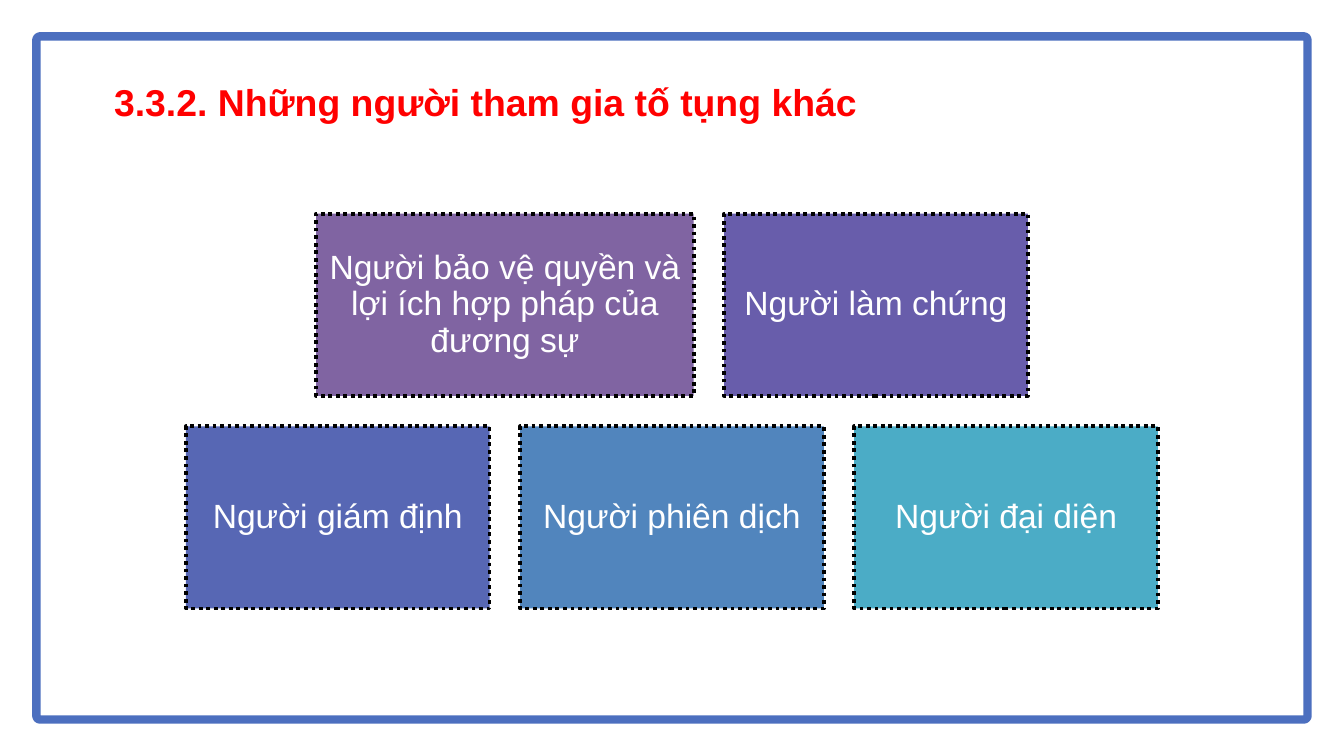
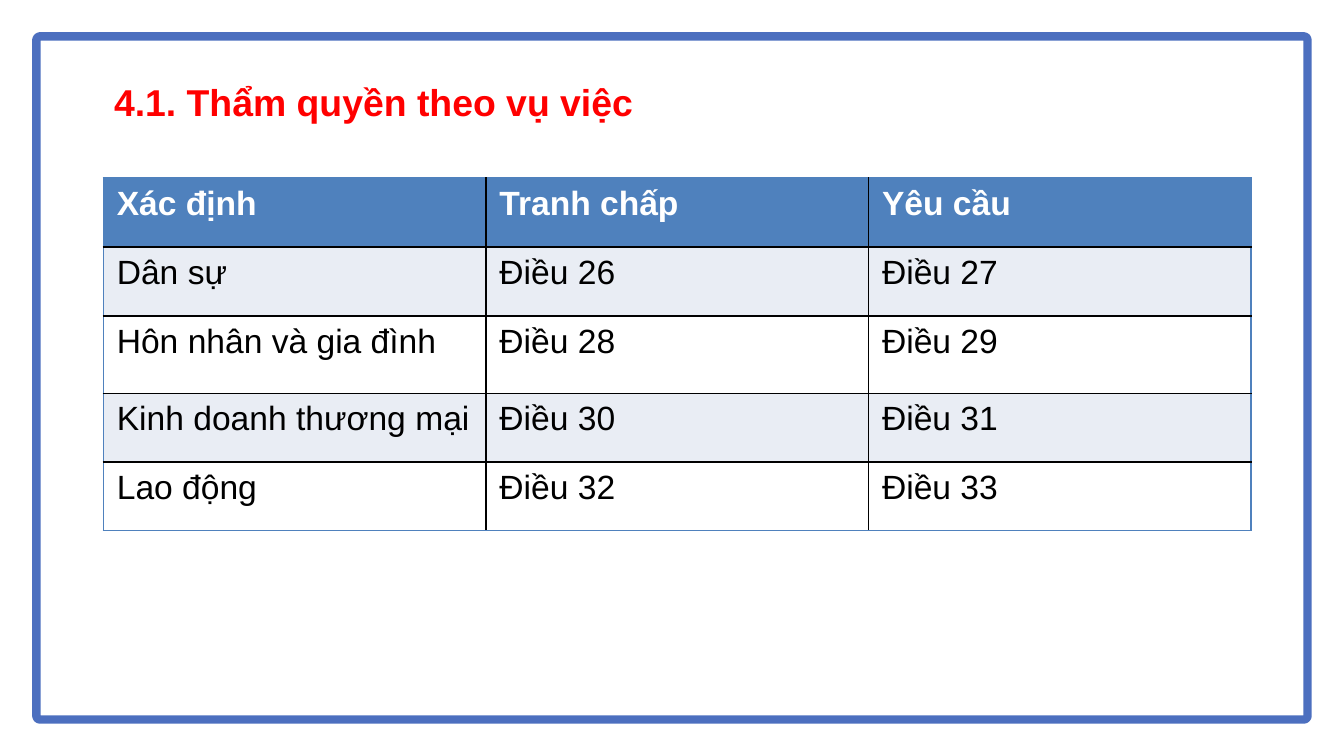
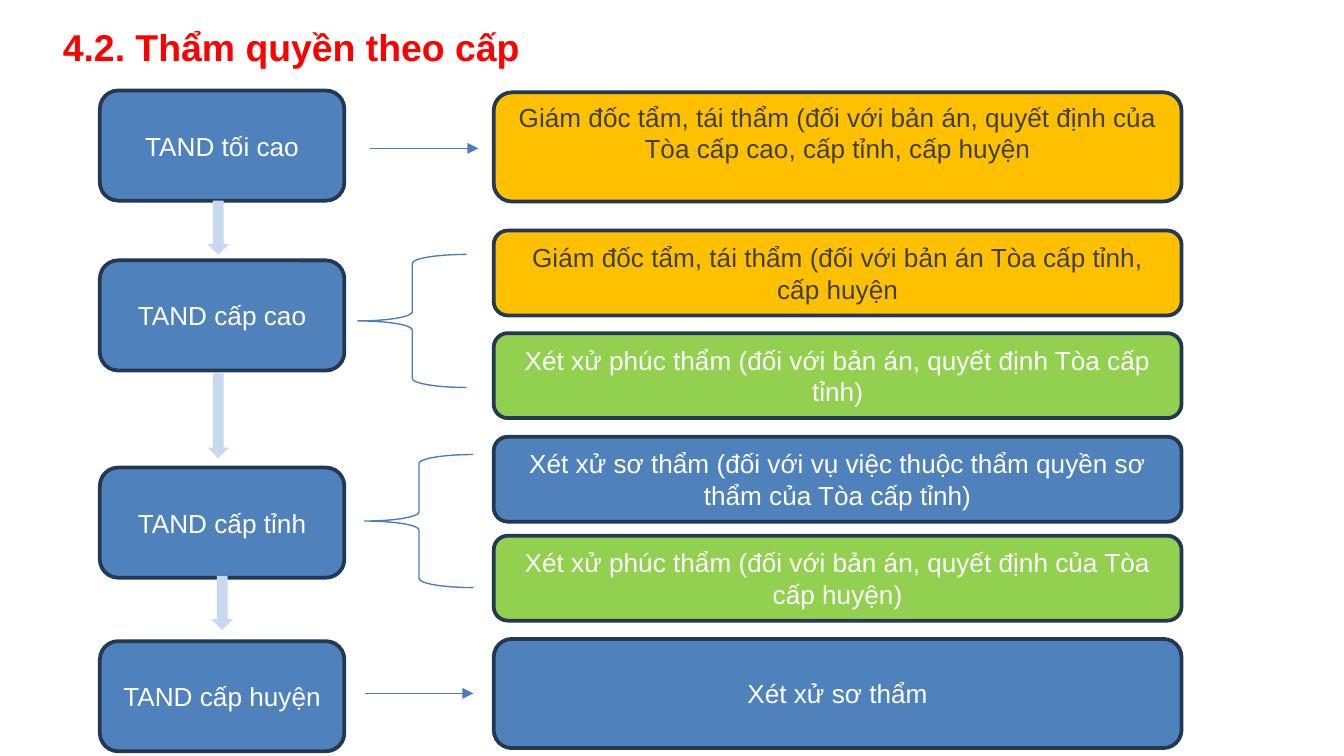
from dataclasses import dataclass

from lxml import etree
from pptx import Presentation
from pptx import util as u
from pptx.dml import color
from pptx.enum import dml, shapes, text
from pptx.oxml import ns

Pt = u.Pt
SHAPE = shapes.MSO_SHAPE


@dataclass(frozen=True)
class Theme:
    font: str = "Arial"
    title_size: float = 20
    body_size: float = 18
    flow_size: float = 14
    white: str = "FFFFFF"
    black: str = "000000"
    red: str = "FF0000"
    grey: str = "404040"
    frame: str = "4C6FBF"
    blue: str = "4F81BD"
    band: str = "E9EDF4"
    navy: str = "233953"
    amber: str = "FFC000"
    green: str = "92D050"
    link: str = "4B7EBC"
    pale: str = "C6D9F1"


T = Theme()
SLIDE_W, SLIDE_H = 720, 405
FRAME = (19.5, 19.5, 681, 366)

# Slide 1: rows of (text, width, fill)
PEOPLE_TITLE = "3.3.2. Những người tham gia tố tụng khác"
PEOPLE = [
    [("Người bảo vệ quyền và lợi ích hợp pháp của đương sự", 202.3, "8064A2"),
     ("Người làm chứng", 162.7, "685DAB")],
    [("Người giám định", 162.7, "5767B4"),
     ("Người phiên dịch", 162.7, "5185BD"),
     ("Người đại diện", 162.7, "4BACC6")],
]
TILE_TOP, TILE_H, TILE_GAP = 114.5, 97.6, 16.3

# Slide 2
CASES_TITLE = "4.1. Thẩm quyền theo vụ việc"
CASES = [
    ("Xác định", "Tranh chấp", "Yêu cầu"),
    ("Dân sự", "Điều 26", "Điều 27"),
    ("Hôn nhân và gia đình", "Điều 28", "Điều 29"),
    ("Kinh doanh thương mại", "Điều 30", "Điều 31"),
    ("Lao động", "Điều 32", "Điều 33"),
]
CASES_LEFT, CASES_TOP, CASES_COL = 55.4, 95.5, 205
CASES_ROWS = (36.9, 36.9, 41.6, 36.6, 36.9)

# Slide 3: courts (text, top) and powers (text, top, height, fill, font colour)
LEVELS_TITLE = "4.2. Thẩm quyền theo cấp"
COURTS = [("TAND tối cao", 48.5), ("TAND cấp cao", 139.5),
          ("TAND cấp tỉnh", 250.5), ("TAND cấp huyện", 343.5)]
POWERS = [
    ("Giám đốc tẩm, tái thẩm (đối với bản án, quyết định của Tòa cấp cao, "
     "cấp tỉnh, cấp huyện", 49.5, 58.5, T.amber, T.grey),
    ("Giám đốc tẩm, tái thẩm (đối với bản án Tòa cấp tỉnh, cấp huyện",
     123.5, 45.5, T.amber, T.grey),
    ("Xét xử phúc thẩm (đối với bản án, quyết định Tòa cấp tỉnh)",
     178.5, 45.5, T.green, T.white),
    ("Xét xử sơ thẩm (đối với vụ việc thuộc thẩm quyền sơ thẩm của Tòa cấp tỉnh)",
     234, 45.5, T.blue, T.white),
    ("Xét xử phúc thẩm (đối với bản án, quyết định của Tòa cấp huyện)",
     287, 45.5, T.green, T.white),
    ("Xét xử sơ thẩm", 342.3, 58.5, T.blue, T.white),
]
COURT_X, COURT_W, COURT_H = 53.5, 131, 59
POWER_X, POWER_W = 264.5, 368.5
LINK_W, BRACE_H = 58.3, 71.3
BRACES = [(191.7, 136.3), (195.3, 243.5)]
ARROWS = [(198, 79.5), (195.3, 371.5)]
DOWN_ARROWS = [(111.2, 107.5, 29), (111.2, 200, 45.5), (113.3, 308.5, 29)]


def rgb(value):
    return color.RGBColor.from_string(value)


def style_text(tf, size, fill, bold=False, align=None):
    for p in tf.paragraphs:
        p.alignment = align
        for r in p.runs:
            r.font.name, r.font.size, r.font.bold = T.font, Pt(size), bold
            r.font.color.rgb = rgb(fill)


def add_shape(slide, kind, box, fill=None, line=None, width=1):
    sp = slide.shapes.add_shape(kind, *map(Pt, box))
    sp.shadow.inherit = False
    if fill:
        sp.fill.solid()
        sp.fill.fore_color.rgb = rgb(fill)
    else:
        sp.fill.background()
    if line:
        sp.line.color.rgb = rgb(line)
        sp.line.width = Pt(width)
    else:
        sp.line.fill.background()
    return sp


def label(sp, words, size, fill):
    tf = sp.text_frame
    tf.text = words
    tf.word_wrap = True
    tf.vertical_anchor = text.MSO_ANCHOR.MIDDLE
    style_text(tf, size, fill, align=text.PP_ALIGN.CENTER)
    return tf


def add_title(slide, words, left, top):
    tf = slide.shapes.add_textbox(Pt(left), Pt(top), Pt(666), Pt(45.4)).text_frame
    tf.word_wrap = True
    tf.margin_left = tf.margin_right = tf.margin_top = tf.margin_bottom = Pt(7.2)
    tf.text = words
    style_text(tf, T.title_size, T.red, bold=True)


def new_slide(prs):
    return prs.slides.add_slide(prs.slide_layouts[6])


def framed_slide(prs, title):
    slide = new_slide(prs)
    sp = add_shape(slide, SHAPE.ROUNDED_RECTANGLE, FRAME, T.white, T.frame, 4.5)
    sp.adjustments[0] = 2 / FRAME[3]
    add_title(slide, title, 54, 35.5)
    return slide


def add_arrow(slide, x, y):
    cx = slide.shapes.add_connector(shapes.MSO_CONNECTOR.STRAIGHT,
                                    Pt(x), Pt(y), Pt(x + LINK_W), Pt(y))
    cx.line.color.rgb = rgb(T.link)
    cx.line.width = Pt(0.75)
    etree.SubElement(cx.line._get_or_add_ln(), ns.qn("a:tailEnd"), type="triangle")
    etree.SubElement(cx._element.spPr, ns.qn("a:effectLst"))


def set_borders(cell, colours):
    """Draw 1 pt borders; colours come in the order left, right, top, bottom."""
    pr = cell._tc.get_or_add_tcPr()
    for i, (side, value) in enumerate(zip("LRTB", colours)):
        ln = etree.Element(ns.qn(f"a:ln{side}"), w=str(Pt(1)))
        fill = etree.SubElement(ln, ns.qn("a:solidFill"))
        etree.SubElement(fill, ns.qn("a:srgbClr"), val=value)
        pr.insert(i, ln)


def build_people(prs):
    slide = framed_slide(prs, PEOPLE_TITLE)
    for i, row in enumerate(PEOPLE):
        total = sum(w for _, w, _ in row) + TILE_GAP * (len(row) - 1)
        x, y = (SLIDE_W - total) / 2, TILE_TOP + i * (TILE_H + TILE_GAP)
        for words, w, fill in row:
            sp = add_shape(slide, SHAPE.RECTANGLE, (x, y, w, TILE_H), fill, T.black, 2)
            sp.line.dash_style = dml.MSO_LINE.ROUND_DOT
            tf = label(sp, words, T.body_size, T.white)
            tf.margin_left = tf.margin_right = tf.margin_top = tf.margin_bottom = Pt(5)
            tf.paragraphs[0].line_spacing = 0.9
            x += w + TILE_GAP


def build_cases(prs):
    slide = framed_slide(prs, CASES_TITLE)
    n_rows, n_cols = len(CASES), len(CASES[0])
    table = slide.shapes.add_table(n_rows, n_cols, Pt(CASES_LEFT), Pt(CASES_TOP),
                                   Pt(CASES_COL * n_cols), Pt(sum(CASES_ROWS))).table
    for col in table.columns:
        col.width = Pt(CASES_COL)
    for i, row in enumerate(CASES):
        table.rows[i].height = Pt(CASES_ROWS[i])
        head = i == 0
        for j, words in enumerate(row):
            cell = table.cell(i, j)
            cell.text = words
            style_text(cell.text_frame, T.body_size, T.white if head else T.black, head)
            cell.fill.solid()
            cell.fill.fore_color.rgb = rgb(T.blue if head else T.band if i % 2 else T.white)
            outer = (j == 0, j == n_cols - 1, head, i == n_rows - 1)
            set_borders(cell, [T.blue if edge else T.black for edge in outer])


def build_levels(prs):
    slide = new_slide(prs)
    add_title(slide, LEVELS_TITLE, 26.6, 5.8)
    boxes = [(words, (COURT_X, y, COURT_W, COURT_H), T.blue, T.white)
             for words, y in COURTS]
    boxes += [(words, (POWER_X, y, POWER_W, h), fill, ink)
              for words, y, h, fill, ink in POWERS]
    frames = {}
    for words, box, fill, ink in boxes:
        sp = add_shape(slide, SHAPE.ROUNDED_RECTANGLE, box, fill, T.navy, 2)
        frames[words] = label(sp, words, T.flow_size, ink)
    top_power = frames[POWERS[0][0]]
    top_power.vertical_anchor = text.MSO_ANCHOR.TOP
    top_power.margin_top = Pt(2)
    for x, y in BRACES:
        add_shape(slide, SHAPE.LEFT_BRACE, (x, y, LINK_W, BRACE_H), line=T.link, width=0.75)
    for x, y in ARROWS:
        add_arrow(slide, x, y)
    for x, y, h in DOWN_ARROWS:
        add_shape(slide, SHAPE.DOWN_ARROW, (x, y, 11.5, h), T.pale)


def main():
    prs = Presentation()
    prs.slide_width, prs.slide_height = Pt(SLIDE_W), Pt(SLIDE_H)
    build_people(prs)
    build_cases(prs)
    build_levels(prs)
    prs.save("out.pptx")


if __name__ == "__main__":
    main()
